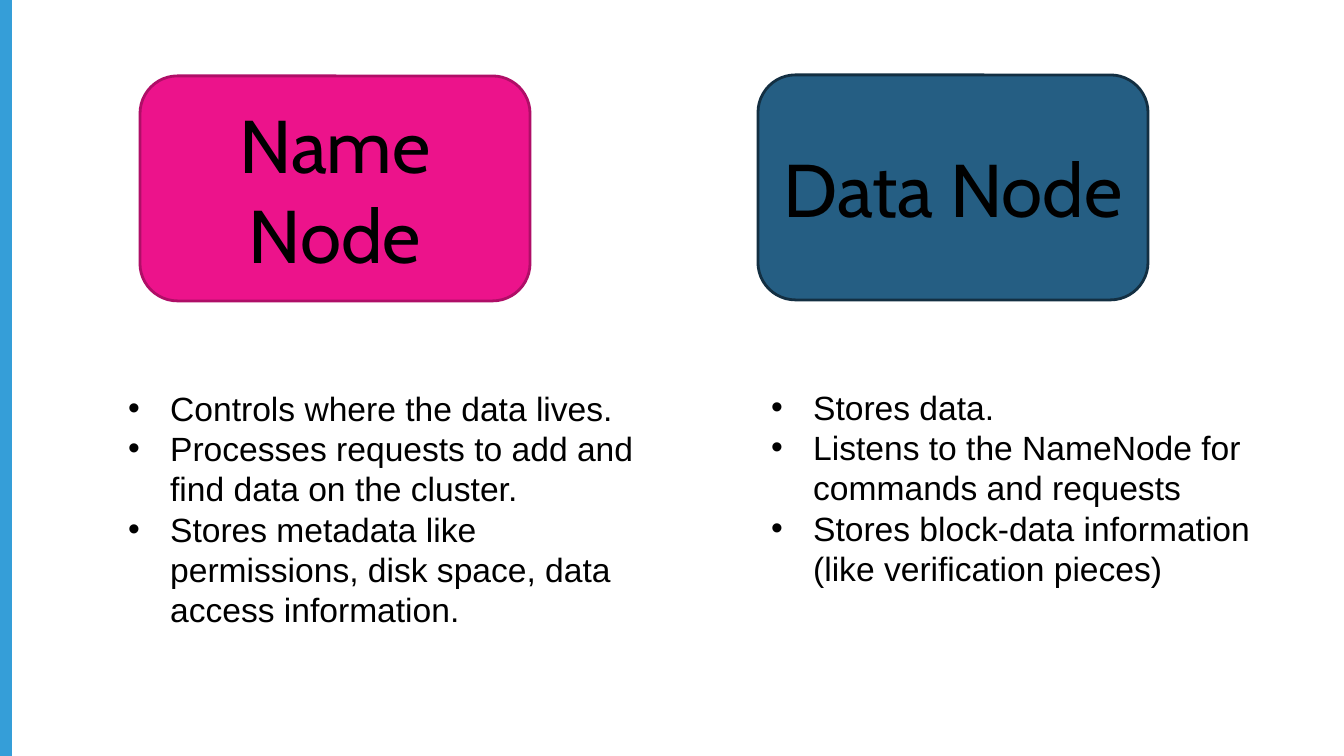
from lxml import etree
from pptx import Presentation
from pptx.dml.color import RGBColor
from pptx.enum.shapes import MSO_SHAPE
from pptx.enum.text import MSO_ANCHOR, PP_ALIGN
from pptx.oxml.ns import qn
from pptx.util import Emu, Pt

RECTANGLE = MSO_SHAPE.RECTANGLE
ROUNDED = MSO_SHAPE.ROUNDED_RECTANGLE
MIDDLE = MSO_ANCHOR.MIDDLE
CENTER = PP_ALIGN.CENTER

BLACK = RGBColor(0x00, 0x00, 0x00)
SKY = RGBColor(0x35, 0x9E, 0xD8)
PINK = RGBColor(0xEC, 0x13, 0x8B)
DARK_PINK = RGBColor(0xAF, 0x0E, 0x67)
BLUE = RGBColor(0x25, 0x5E, 0x83)
DARK_BLUE = RGBColor(0x13, 0x2F, 0x42)

SLIDE_WIDTH, SLIDE_HEIGHT = 1344, 756
BOX_WIDTH, BOX_HEIGHT = 390, 225
LIST_WIDTH = 532
BULLET_INDENT = 42


def px(length):
    return Emu(round(length * 914400 / 134.4))


def write(paragraph, text, *, font, size, color=BLACK, align=None):
    paragraph.alignment = align
    run = paragraph.add_run()
    run.text = text
    run.font.name = font
    run.font.size = Pt(size)
    run.font.color.rgb = color


class SlideBuilder:
    heading_style = {"font": "Cabin", "size": 40, "align": CENTER}
    list_style = {"font": "Arial", "size": 18}

    def __init__(self, slide):
        self.slide = slide

    def block(self, kind, left, top, width, height, fill, line=None):
        shape = self.slide.shapes.add_shape(
            kind, px(left), px(top), px(width), px(height))
        shape.shadow.inherit = False
        shape.fill.solid()
        shape.fill.fore_color.rgb = fill
        if line is None:
            shape.line.fill.background()
        else:
            shape.line.color.rgb = line
            shape.line.width = Pt(1.5)
        return shape

    def heading_box(self, text, left, top, fill, line):
        shape = self.block(ROUNDED, left, top, BOX_WIDTH, BOX_HEIGHT, fill, line)
        frame = shape.text_frame
        frame.word_wrap = True
        frame.vertical_anchor = MIDDLE
        write(frame.paragraphs[0], text, **self.heading_style)

    def bullet_list(self, items, left, top, height):
        box = self.slide.shapes.add_textbox(
            px(left), px(top), px(LIST_WIDTH), px(height))
        frame = box.text_frame
        frame.word_wrap = True
        for index, item in enumerate(items):
            paragraph = frame.add_paragraph() if index else frame.paragraphs[0]
            self.add_bullet(paragraph)
            write(paragraph, item, **self.list_style)

    def add_bullet(self, paragraph):
        properties = paragraph._p.get_or_add_pPr()
        properties.set("marL", str(px(BULLET_INDENT)))
        properties.set("indent", str(-px(BULLET_INDENT)))
        bullet_color = etree.SubElement(properties, qn("a:buClr"))
        etree.SubElement(bullet_color, qn("a:srgbClr"), val=str(BLACK))
        etree.SubElement(properties, qn("a:buFont"), typeface="Arial")
        etree.SubElement(properties, qn("a:buChar"), char="•")


def main():
    presentation = Presentation()
    presentation.slide_width = px(SLIDE_WIDTH)
    presentation.slide_height = px(SLIDE_HEIGHT)
    builder = SlideBuilder(
        presentation.slides.add_slide(presentation.slide_layouts[6]))

    # Accent bar along the left edge
    builder.block(RECTANGLE, 0, 0, 12, SLIDE_HEIGHT, SKY)

    # Data node column
    builder.heading_box("Data Node", 758, 75, BLUE, DARK_BLUE)
    builder.bullet_list([
        "Stores data.",
        "Listens to the NameNode for commands and requests",
        "Stores block-data information (like verification pieces)",
    ], 758, 380, 218)

    # Name node column
    builder.heading_box("Name Node", 140, 76, PINK, DARK_PINK)
    builder.bullet_list([
        "Controls where the data lives.",
        "Processes requests to add and find data on the cluster.",
        "Stores metadata like permissions, disk space, data access information.",
    ], 115, 381, 258)

    presentation.save("out.pptx")


if __name__ == "__main__":
    main()
